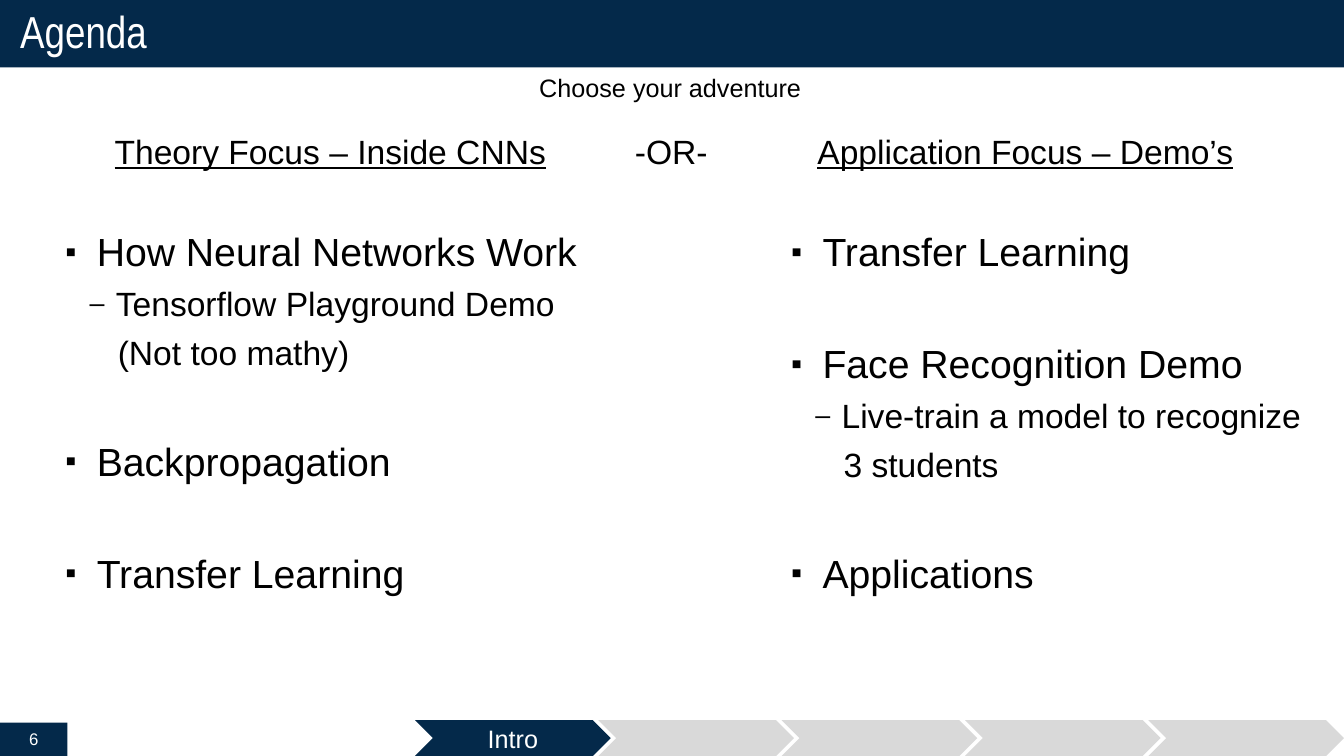
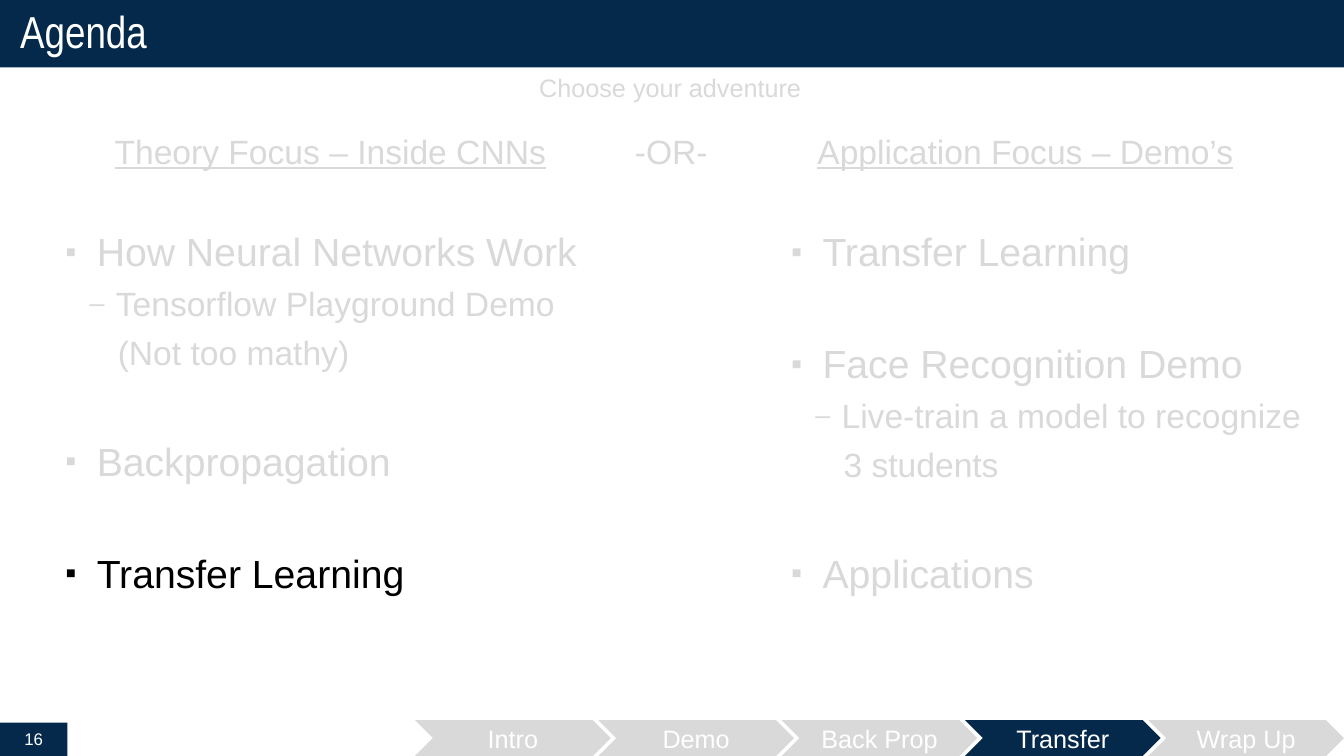
from dataclasses import dataclass

from lxml import etree
from pptx import Presentation
from pptx import util as u
from pptx.dml.color import RGBColor
from pptx.enum import shapes, text
from pptx.oxml import ns


@dataclass(frozen=True)
class Theme:
    navy: str = "04294A"
    muted: str = "D9D9D9"
    ink: str = "000000"
    white: str = "FFFFFF"
    body_font: str = "Arial"
    title_font: str = "Arial Narrow"
    title_size: int = 32
    topic_size: int = 28
    detail_size: int = 24
    label_size: int = 18
    number_size: int = 12


@dataclass(frozen=True)
class Box:
    left: float
    top: float
    width: float
    height: float

    def lengths(self):
        return [u.Cm(value) for value in (self.left, self.top, self.width, self.height)]


@dataclass(frozen=True)
class Level:
    size: int
    indent: float
    hanging: float
    space: float
    bullet: str = ""


THEME = Theme()
SLIDE_WIDTH, SLIDE_HEIGHT = 33.87, 19.05

LEVELS = {
    "topic": Level(THEME.topic_size, 0.79, 0.79, 46.4, "▪"),
    "detail": Level(THEME.detail_size, 1.27, 0.66, 6, "–"),
    "remark": Level(THEME.detail_size, 1.32, 0, 6),
}

THEORY = [
    ("topic", "How Neural Networks Work"),
    ("detail", "Tensorflow Playground Demo"),
    ("remark", "(Not too mathy)"),
    ("topic", "Backpropagation"),
    ("topic", "Transfer Learning"),
]
APPLICATION = [
    ("topic", "Transfer Learning"),
    ("topic", "Face Recognition Demo"),
    ("detail", "Live-train a model to recognize"),
    ("remark", "3 students"),
    ("topic", "Applications"),
]
HEADINGS = [
    (Box(13.34, 1.7, 7.16, 1.02), "Choose your adventure", THEME.label_size, False),
    (Box(2.64, 3.18, 11.51, 1.27), "Theory Focus – Inside CNNs", THEME.detail_size, True),
    (Box(15.75, 3.18, 2.36, 1.27), "-OR-", THEME.detail_size, False),
    (Box(20.35, 3.18, 11.1, 1.27), "Application Focus – Demo’s", THEME.detail_size, True),
]


def style_font(paragraph, size, color, name=THEME.body_font):
    paragraph.font.size = u.Pt(size)
    paragraph.font.name = name
    paragraph.font.color.rgb = RGBColor.from_string(color)


def add_filled_shape(slide, kind, box, fill):
    shape = slide.shapes.add_shape(kind, *box.lengths())
    shape.shadow.inherit = False
    shape.fill.solid()
    shape.fill.fore_color.rgb = RGBColor.from_string(fill)
    shape.line.fill.background()
    shape.text_frame.vertical_anchor = text.MSO_ANCHOR.MIDDLE
    return shape


def add_centered_label(shape, label, size):
    paragraph = shape.text_frame.paragraphs[0]
    paragraph.text = label
    paragraph.alignment = text.PP_ALIGN.CENTER
    style_font(paragraph, size, THEME.white)


def add_title_band(slide, box, title):
    shape = add_filled_shape(slide, shapes.MSO_SHAPE.RECTANGLE, box, THEME.navy)
    frame = shape.text_frame
    frame.margin_left = frame.margin_right = u.Cm(0.51)
    frame.margin_top = frame.margin_bottom = u.Cm(0.25)
    paragraph = frame.paragraphs[0]
    paragraph.text = title
    paragraph.alignment = text.PP_ALIGN.LEFT
    paragraph.line_spacing = 0.9
    style_font(paragraph, THEME.title_size, THEME.white, THEME.title_font)


def add_page_number(slide, box, number):
    shape = add_filled_shape(slide, shapes.MSO_SHAPE.RECTANGLE, box, THEME.navy)
    add_centered_label(shape, str(number), THEME.number_size)


def add_progress(slide, box, labels, current):
    pitch = 4.62
    width = box.width - pitch * (len(labels) - 1)
    for index, label in enumerate(labels):
        step = Box(box.left + index * pitch, box.top, width, box.height)
        fill = THEME.navy if index == current else THEME.muted
        shape = add_filled_shape(slide, shapes.MSO_SHAPE.CHEVRON, step, fill)
        if label:
            add_centered_label(shape, label, THEME.label_size)


def add_heading(slide, box, heading, size, underline, color):
    frame = slide.shapes.add_textbox(*box.lengths()).text_frame
    frame.word_wrap = False
    frame.auto_size = text.MSO_AUTO_SIZE.SHAPE_TO_FIT_TEXT
    paragraph = frame.paragraphs[0]
    paragraph.text = heading
    style_font(paragraph, size, color)
    if underline:
        paragraph.font.underline = True


def set_bullet(paragraph, level, color):
    properties = paragraph._p.get_or_add_pPr()
    properties.set("marL", str(u.Cm(level.indent)))
    properties.set("indent", str(-u.Cm(level.hanging)))
    if not level.bullet:
        etree.SubElement(properties, ns.qn("a:buNone"))
        return
    bullet_color = etree.SubElement(properties, ns.qn("a:buClr"))
    etree.SubElement(bullet_color, ns.qn("a:srgbClr"), val=color)
    etree.SubElement(properties, ns.qn("a:buSzPct"), val="80000")
    etree.SubElement(properties, ns.qn("a:buFont"), typeface=THEME.body_font)
    etree.SubElement(properties, ns.qn("a:buChar"), char=level.bullet)


def add_topics(slide, box, items, color, highlight=None):
    frame = slide.shapes.add_textbox(*box.lengths()).text_frame
    frame.word_wrap = True
    for index, (kind, wording) in enumerate(items):
        level = LEVELS[kind]
        shade = THEME.ink if index == highlight else color
        paragraph = frame.add_paragraph() if index else frame.paragraphs[0]
        paragraph.text = wording
        set_bullet(paragraph, level, shade)
        if index:
            paragraph.space_before = u.Pt(level.space)
        style_font(paragraph, level.size, shade)


def add_agenda_slide(presentation, number, steps, current, color, highlight=None):
    slide = presentation.slides.add_slide(presentation.slide_layouts[6])
    add_title_band(slide, Box(0, 0, SLIDE_WIDTH, 1.7), "Agenda")
    add_topics(slide, Box(1.4, 5.61, 14, 11.2), THEORY, color, highlight)
    add_topics(slide, Box(19.69, 5.61, 14, 11.2), APPLICATION, color)
    for box, heading, size, underline in HEADINGS:
        add_heading(slide, box, heading, size, underline, color)
    add_page_number(slide, Box(0, 18.21, 1.7, 0.84), number)
    add_progress(slide, Box(10.46, 18.15, 23.41, 0.9), steps, current)


def main():
    presentation = Presentation()
    presentation.slide_width = u.Cm(SLIDE_WIDTH)
    presentation.slide_height = u.Cm(SLIDE_HEIGHT)
    add_agenda_slide(presentation, 6, ["Intro", "", "", "", ""], 0, THEME.ink)
    steps = ["Intro", "Demo", "Back Prop", "Transfer", "Wrap Up"]
    add_agenda_slide(presentation, 16, steps, 3, THEME.muted, highlight=len(THEORY) - 1)
    presentation.save("out.pptx")


if __name__ == "__main__":
    main()
